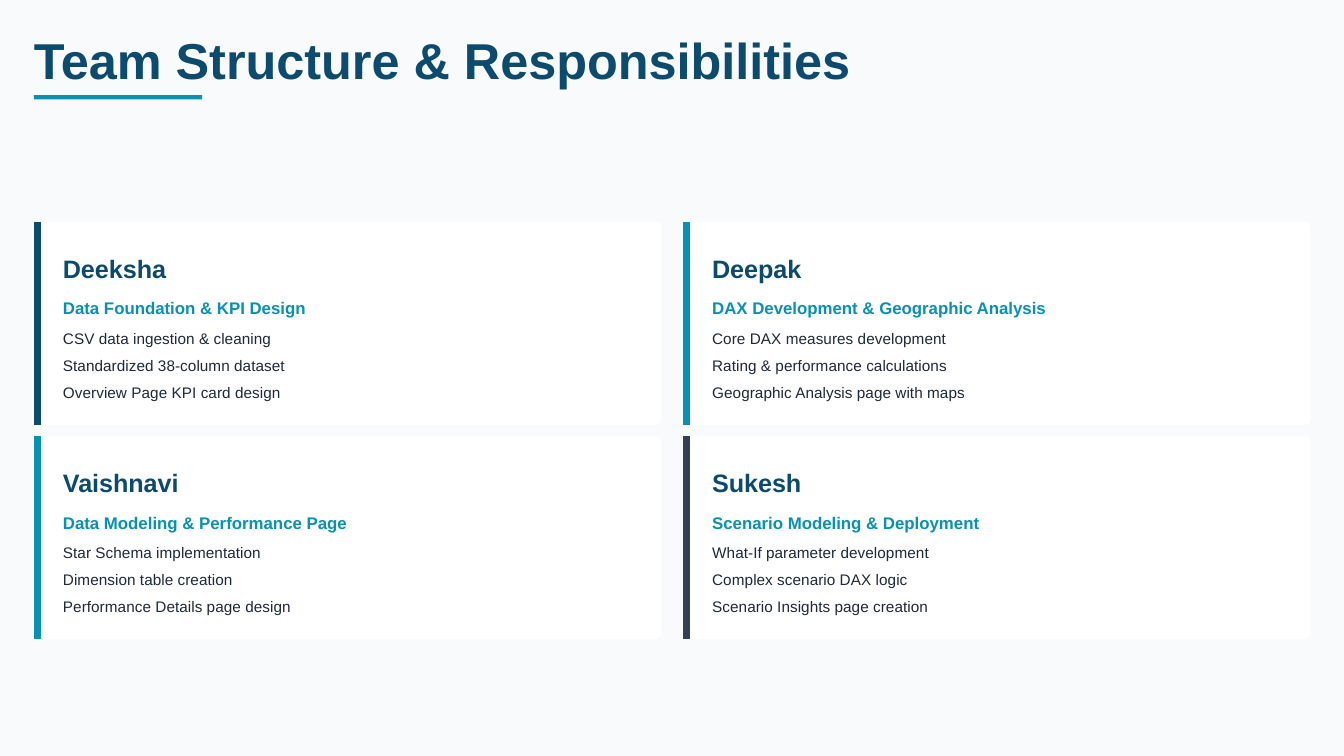
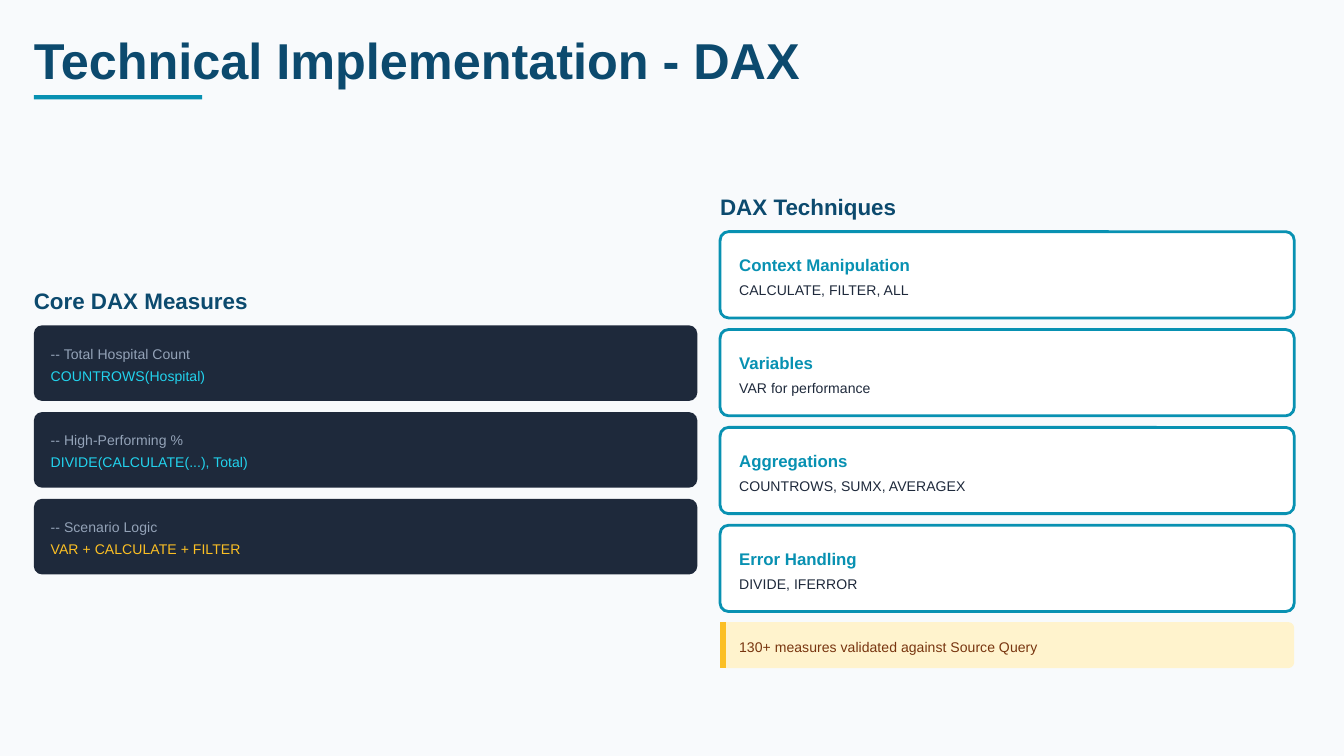
from dataclasses import dataclass

from lxml import etree
from pptx import Presentation
from pptx import util as u
from pptx.dml.color import RGBColor
from pptx.enum import shapes, text
from pptx.oxml import ns


@dataclass(frozen=True)
class Box:
    """A region in centimetres."""
    x: float
    y: float
    w: float
    h: float

    def inside(self, dx, dy, w, h):
        """Return a box placed relative to this one."""
        return Box(self.x + dx, self.y + dy, w, h)

    def lengths(self):
        """Return left, top, width and height as lengths."""
        return [u.Cm(side) for side in (self.x, self.y, self.w, self.h)]


class Theme:
    """Colours, type sizes and corner radii of the deck."""
    PAPER, WHITE, NAVY, TEAL = "F8FAFC", "FFFFFF", "0C4A6E", "0891B2"
    INK, SLATE, MUTED, CYAN = "1E293B", "334155", "94A3B8", "22D3EE"
    AMBER, CREAM, BROWN = "FBBF24", "FFF3CD", "78350F"
    FONT = "Arial"
    SMALL_CORNER, LARGE_CORNER = 0.11, 0.16
    STYLES = {
        "title": dict(size=27, color=NAVY, bold=True, line=30, after=3),
        "heading": dict(size=12, color=NAVY, bold=True, line=18, after=6),
        "name": dict(size=13.5, color=NAVY, bold=True, line=21, after=6),
        "role": dict(size=9, color=TEAL, bold=True, line=12.6, after=4.5),
        "duty": dict(size=8.25, color=INK, bold=False, line=11.55, after=3),
        "comment": dict(size=7.5, color=MUTED, bold=False, line=10.5, after=1.5),
        "measure": dict(size=7.5, color=CYAN, bold=False, line=10.5, after=0),
        "scenario": dict(size=7.5, color=AMBER, bold=False, line=10.5, after=0),
        "technique": dict(size=9, color=TEAL, bold=True, line=12.6, after=3),
        "functions": dict(size=7.5, color=INK, bold=False, line=9.75, after=0),
        "note": dict(size=7.5, color=BROWN, bold=False, line=9.75, after=0),
    }


TEAM = [
    ("Deeksha", "Data Foundation & KPI Design", Theme.NAVY,
     ["CSV data ingestion & cleaning", "Standardized 38-column dataset",
      "Overview Page KPI card design"]),
    ("Deepak", "DAX Development & Geographic Analysis", Theme.TEAL,
     ["Core DAX measures development", "Rating & performance calculations",
      "Geographic Analysis page with maps"]),
    ("Vaishnavi", "Data Modeling & Performance Page", Theme.TEAL,
     ["Star Schema implementation", "Dimension table creation",
      "Performance Details page design"]),
    ("Sukesh", "Scenario Modeling & Deployment", Theme.SLATE,
     ["What-If parameter development", "Complex scenario DAX logic",
      "Scenario Insights page creation"]),
]
MEASURES = [
    ("-- Total Hospital Count", "COUNTROWS(Hospital)", "measure"),
    ("-- High-Performing %", "DIVIDE(CALCULATE(...), Total)", "measure"),
    ("-- Scenario Logic", "VAR + CALCULATE + FILTER", "scenario"),
]
TECHNIQUES = [
    ("Context Manipulation", "CALCULATE, FILTER, ALL"),
    ("Variables", "VAR for performance"),
    ("Aggregations", "COUNTROWS, SUMX, AVERAGEX"),
    ("Error Handling", "DIVIDE, IFERROR"),
]


def set_all(target, values):
    """Set each named attribute on the target."""
    for name, value in values.items():
        setattr(target, name, value)


def add_text(slide, box, wording, style_name):
    """Write one line of text in a named style."""
    style = Theme.STYLES[style_name]
    frame = slide.shapes.add_textbox(*box.lengths()).text_frame
    set_all(frame, dict(margin_left=0, margin_top=0, margin_right=0,
                        margin_bottom=0, word_wrap=True,
                        vertical_anchor=text.MSO_ANCHOR.TOP))
    paragraph = frame.paragraphs[0]
    set_all(paragraph, dict(line_spacing=u.Pt(style["line"]),
                            space_after=u.Pt(style["after"])))
    run = paragraph.add_run()
    run.text = wording
    set_all(run.font, dict(name=Theme.FONT, size=u.Pt(style["size"]),
                           bold=style["bold"]))
    run.font.color.rgb = RGBColor.from_string(style["color"])


def add_panel(slide, box, fill, corner=0, outline=None):
    """Draw a filled panel, rounded when a corner radius is given."""
    kind = shapes.MSO_SHAPE.ROUNDED_RECTANGLE if corner else shapes.MSO_SHAPE.RECTANGLE
    panel = slide.shapes.add_shape(kind, *box.lengths())
    panel.shadow.inherit = False
    panel.fill.solid()
    panel.fill.fore_color.rgb = RGBColor.from_string(fill)
    if corner:
        panel.adjustments[0] = corner / min(box.w, box.h)
    if outline:
        panel.line.color.rgb = RGBColor.from_string(outline)
        panel.line.width = u.Pt(1.5)
    else:
        panel.line.fill.background()


def add_edge(slide, box, color, points):
    """Draw the coloured line inside the left edge of a box."""
    x = u.Cm(box.x) + u.Pt(points / 2)
    edge = slide.shapes.add_connector(shapes.MSO_CONNECTOR.STRAIGHT, x,
                                      u.Cm(box.y), x, u.Cm(box.y + box.h))
    edge.line.color.rgb = RGBColor.from_string(color)
    edge.line.width = u.Pt(points)
    etree.SubElement(edge._element.spPr, ns.qn("a:effectLst"))


def add_header(slide, box, title):
    """Place the slide title and its short underline."""
    add_text(slide, box, title, "title")
    add_panel(slide, box.inside(0, 1.16, 3.18, 0.08), Theme.TEAL)


def add_member_card(slide, box, name, role, accent, duties):
    """Place one team member's card."""
    add_panel(slide, box, Theme.WHITE, Theme.SMALL_CORNER)
    add_edge(slide, box, accent, 3.75)
    add_text(slide, box.inside(0.55, 0.43, 11.1, 0.74), name, "name")
    add_text(slide, box.inside(0.55, 1.38, 11.1, 0.43), role, "role")
    for row, duty in enumerate(duties):
        add_text(slide, box.inside(0.55, 1.97 + row * 0.51, 11.1, 0.41), duty, "duty")


def add_measures(slide, box):
    """Place the heading and stacked code blocks."""
    add_text(slide, box.inside(0, 0, 12.8, 0.64), "Core DAX Measures", "heading")
    for row, (comment, code, style) in enumerate(MEASURES):
        block = box.inside(0, 0.84 + row * 1.64, box.w, 1.43)
        add_panel(slide, block, Theme.INK, Theme.LARGE_CORNER)
        add_text(slide, block.inside(0.32, 0.32, 12.14, 0.38), comment, "comment")
        add_text(slide, block.inside(0.32, 0.74, 12.14, 0.38), code, style)


def add_techniques(slide, box):
    """Place the heading, technique cards and closing note."""
    add_text(slide, box.inside(0, 0, 11.07, 0.64), "DAX Techniques", "heading")
    for row, (technique, functions) in enumerate(TECHNIQUES):
        card = box.inside(0, 0.85 + row * 1.85, box.w, 1.63)
        add_panel(slide, card, Theme.WHITE, Theme.LARGE_CORNER, Theme.TEAL)
        add_text(slide, card.inside(0.36, 0.37, 10.31, 0.43), technique, "technique")
        add_text(slide, card.inside(0.36, 0.92, 10.31, 0.36), functions, "functions")
    note = box.inside(0, 8.23, box.w, 0.87)
    add_panel(slide, note, Theme.CREAM, Theme.SMALL_CORNER)
    add_edge(slide, note, Theme.AMBER, 3)
    add_text(slide, note.inside(0.36, 0.28, 10.44, 0.36),
             "130+ measures validated against Source Query", "note")


def build_team_slide(slide, page):
    """Lay out the team cards in a two-column grid."""
    add_header(slide, page.inside(0.64, 0.64, 15.77, 1.07),
               "Team Structure & Responsibilities")
    for index, member in enumerate(TEAM):
        row, column = divmod(index, 2)
        card = page.inside(0.64 + column * 12.27, 4.19 + row * 4.05, 11.86, 3.84)
        add_member_card(slide, card, *member)


def build_dax_slide(slide, page):
    """Lay out the measures beside the techniques."""
    add_header(slide, page.inside(0.64, 0.64, 14.78, 1.07),
               "Technical Implementation - DAX")
    add_measures(slide, page.inside(0.64, 5.31, 12.54, 5.55))
    add_techniques(slide, page.inside(13.61, 3.53, 10.85, 9.1))


def main():
    """Build and save the deck."""
    deck = Presentation()
    page = Box(0, 0, 25.4, 14.29)
    set_all(deck, dict(slide_width=u.Cm(page.w), slide_height=u.Cm(page.h)))
    for build in (build_team_slide, build_dax_slide):
        slide = deck.slides.add_slide(deck.slide_layouts[6])
        slide.background.fill.solid()
        slide.background.fill.fore_color.rgb = RGBColor.from_string(Theme.PAPER)
        build(slide, page)
    deck.save("out.pptx")


if __name__ == "__main__":
    main()
